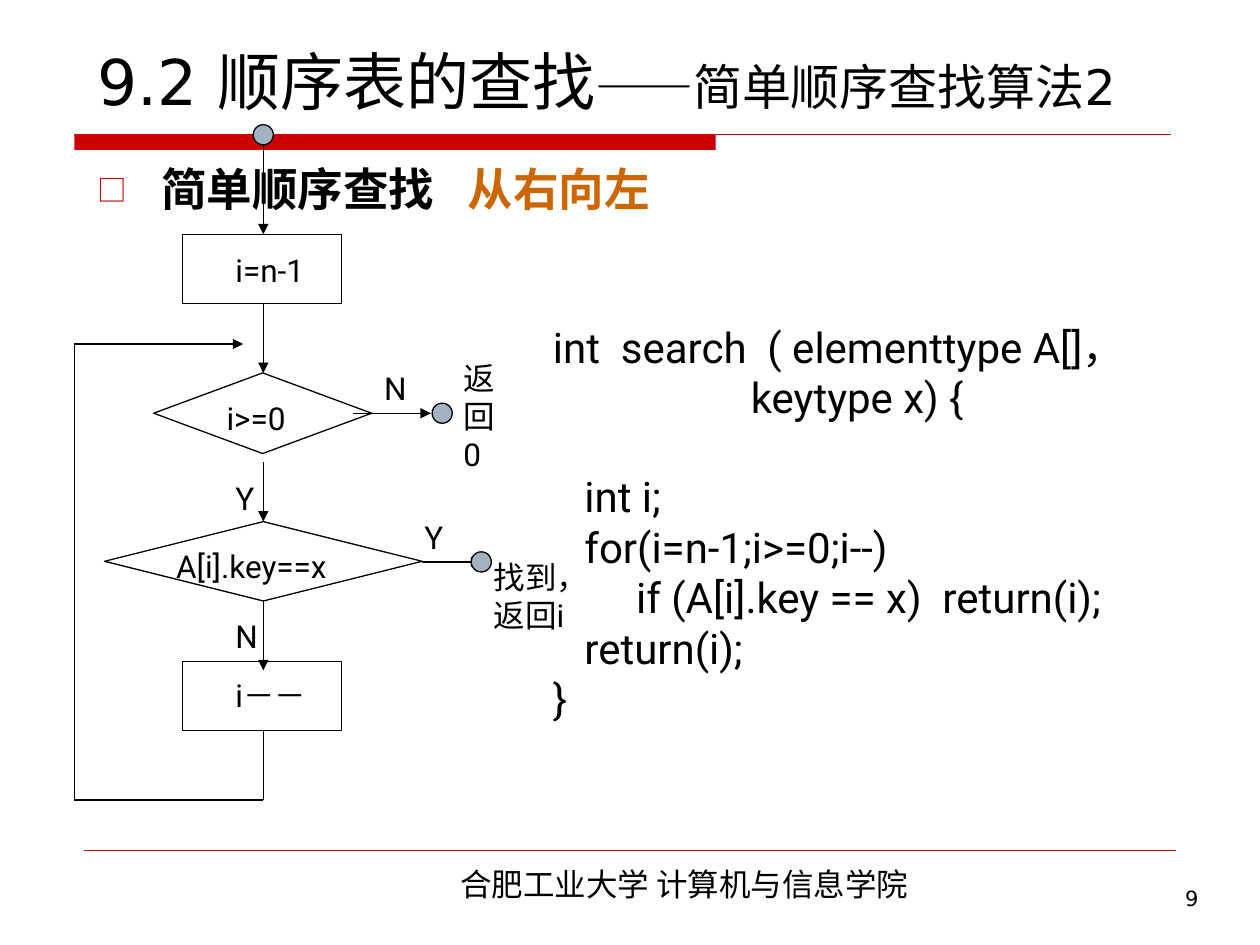
from pptx import Presentation
from pptx.dml.color import RGBColor
from pptx.enum import shapes as sh, text as tx
from pptx.oxml import parse_xml
from pptx.oxml.ns import nsdecls, qn
from pptx.util import Inches, Pt


class Theme:
    black = RGBColor.from_string("000000")
    red = RGBColor.from_string("CC0000")
    orange = RGBColor.from_string("CC6600")
    gray = RGBColor.from_string("A3B2C1")
    head, sub, body, code, note, page = 36, 28, 26, 24, 18, 12
    sans, mono, serif, han = "DejaVu Sans", "Roboto", "Times New Roman", "Noto Sans CJK SC"


def ink(run, size, font, color=Theme.black, bold=False):
    run.font.size = Pt(size)
    run.font.name = font
    run.font.bold = bold
    run.font.color.rgb = color
    latin = run.font._element.find(qn("a:latin"))
    latin.addnext(parse_xml(f'<a:ea {nsdecls("a")} typeface="{Theme.han}"/>'))


def link(x1, y1, x2, y2, arrow=False, color=Theme.black, width=0.75):
    line = slide.shapes.add_connector(
        sh.MSO_CONNECTOR.STRAIGHT, Inches(x1), Inches(y1), Inches(x2), Inches(y2))
    line.line.color.rgb = color
    line.line.width = Pt(width)
    if arrow:
        line.line._get_or_add_ln().append(
            parse_xml(f'<a:tailEnd {nsdecls("a")} type="triangle"/>'))
    line._element.spPr.append(parse_xml(f'<a:effectLst {nsdecls("a")}/>'))


deck = Presentation()
deck.slide_width, deck.slide_height = Inches(10), Inches(7.5)
slide = deck.slides.add_slide(deck.slide_layouts[1])

title = slide.shapes.title
title.left, title.top, title.width, title.height = map(Inches, (0.67, 0.21, 9.06, 0.78))
title.text_frame.vertical_anchor = tx.MSO_ANCHOR.BOTTOM
title.text_frame.auto_size = tx.MSO_AUTO_SIZE.NONE
para = title.text_frame.paragraphs[0]
para.alignment = tx.PP_ALIGN.LEFT
for words, size in (("9.2 顺序表的查找", Theme.head), ("——简单顺序查找算法2", Theme.sub)):
    run = para.add_run()
    run.text = words
    ink(run, size, Theme.sans)

body = slide.placeholders[1]
body.left, body.top, body.width, body.height = map(Inches, (0.67, 1.23, 8.74, 5.59))
body.text_frame.auto_size = tx.MSO_AUTO_SIZE.NONE
para = body.text_frame.paragraphs[0]
para.space_before = Pt(6.5)
props = para._p.get_or_add_pPr()
props.set("marL", str(Inches(0.51)))
props.set("indent", str(Inches(-0.51)))
for mark in (f'<a:buClr {nsdecls("a")}><a:srgbClr val="{Theme.red}"/></a:buClr>',
             f'<a:buSzPct {nsdecls("a")} val="65000"/>',
             f'<a:buFont {nsdecls("a")} typeface="{Theme.han}"/>',
             f'<a:buChar {nsdecls("a")} char="□"/>'):
    props.append(parse_xml(mark))
for words, color, gap in (("简单顺序查找", Theme.black, 0), (" ", Theme.black, 13),
                          ("从右向左", Theme.orange, 0)):
    run = para.add_run()
    run.text = words
    ink(run, Theme.body, Theme.serif, color, True)
    run.font._element.set("spc", str(gap * 100))

bar = slide.shapes.add_shape(
    sh.MSO_SHAPE.RECTANGLE, Inches(0.59), Inches(1.07), Inches(5.09), Inches(0.12))
bar.shadow.inherit = False
bar.fill.solid()
bar.fill.fore_color.rgb = Theme.red
bar.line.fill.background()
link(0.59, 1.07, 9.29, 1.07, color=Theme.red)
link(0.67, 6.75, 9.33, 6.75, color=Theme.red, width=0.25)

axis = 2.09
for y1, y2, arrow in ((1.15, 1.86, True), (2.41, 2.96, True), (3.67, 4.14, True),
                      (4.77, 5.32, True), (5.8, 6.35, False)):
    link(axis, y1, axis, y2, arrow)
link(axis, 6.35, 0.59, 6.35)
link(0.59, 6.35, 0.59, 2.73)
link(0.59, 2.73, 1.93, 2.73, True)
link(2.8, 3.28, 3.42, 3.28, True)
link(3.35, 4.46, 3.82, 4.46, True)

dot = sh.MSO_SHAPE.FLOWCHART_CONNECTOR
step = sh.MSO_SHAPE.FLOWCHART_PROCESS
test = sh.MSO_SHAPE.FLOWCHART_DECISION
for kind, x, y, w, h in ((dot, 2.01, 0.99, 0.16, 0.16), (dot, 3.43, 3.2, 0.16, 0.16),
                         (dot, 3.74, 4.38, 0.16, 0.16), (step, 1.45, 1.86, 1.26, 0.55),
                         (step, 1.45, 5.25, 1.26, 0.55), (test, 1.22, 2.96, 1.73, 0.64),
                         (test, 0.83, 4.14, 2.52, 0.63)):
    node = slide.shapes.add_shape(kind, Inches(x), Inches(y), Inches(w), Inches(h))
    node.shadow.inherit = False
    node.line.color.rgb = Theme.black
    node.line.width = Pt(0.75)
    if kind == dot:
        node.fill.solid()
        node.fill.fore_color.rgb = Theme.gray
    else:
        node.fill.background()

left, mid, right = tx.PP_ALIGN.LEFT, tx.PP_ALIGN.CENTER, tx.PP_ALIGN.RIGHT
notes = [(words, x, y, w, h, left, Theme.note, Theme.mono) for words, x, y, w, h in (
    ("i=n-1", 1.77, 1.94, 0.95, 0.4), ("i>=0", 1.7, 3.12, 0.77, 0.4),
    ("A[i].key==x", 1.3, 4.29, 1.67, 0.4), ("i－－", 1.77, 5.32, 0.95, 0.4),
    ("N", 2.95, 2.88, 0.47, 0.4), ("Y", 1.77, 3.75, 0.39, 0.4),
    ("Y", 3.27, 4.06, 0.39, 0.4), ("N", 1.77, 4.85, 0.39, 0.4),
    ("返回0", 3.58, 2.8, 0.47, 1), ("找到，返回i", 3.82, 4.38, 1.02, 0.7))]
notes += [("合肥工业大学 计算机与信息学院", 2.4, 6.82, 6.06, 0.4, mid, Theme.note, Theme.han),
          ("9", 7.44, 6.98, 2.17, 0.52, right, Theme.page, Theme.sans)]
for words, x, y, w, h, align, size, font in notes:
    frame = slide.shapes.add_textbox(Inches(x), Inches(y), Inches(w), Inches(h)).text_frame
    frame.word_wrap = True
    frame.text = words
    frame.paragraphs[0].alignment = align
    ink(frame.paragraphs[0].runs[0], size, font)

frame = slide.shapes.add_textbox(Inches(4.29), Inches(2.5), Inches(5.08), Inches(3.3)).text_frame
frame.word_wrap = True
code = (("int  search  ( elementtype A[]，", 0, 0), ("keytype x) {", 1.57, 0),
        ("int i;", 0.25, 28), ("for(i=n-1;i>=0;i--)", 0.25, 0),
        ("if (A[i].key == x)  return(i);", 0.66, 0), ("return(i);", 0.25, 0), ("}", 0, 0))
frame.text = "\n".join(words for words, dent, gap in code)
for para, (words, dent, gap) in zip(frame.paragraphs, code):
    para._p.get_or_add_pPr().set("marL", str(Inches(dent)))
    para.space_before = Pt(gap)
    ink(para.runs[0], Theme.code, Theme.mono)

deck.save("out.pptx")
